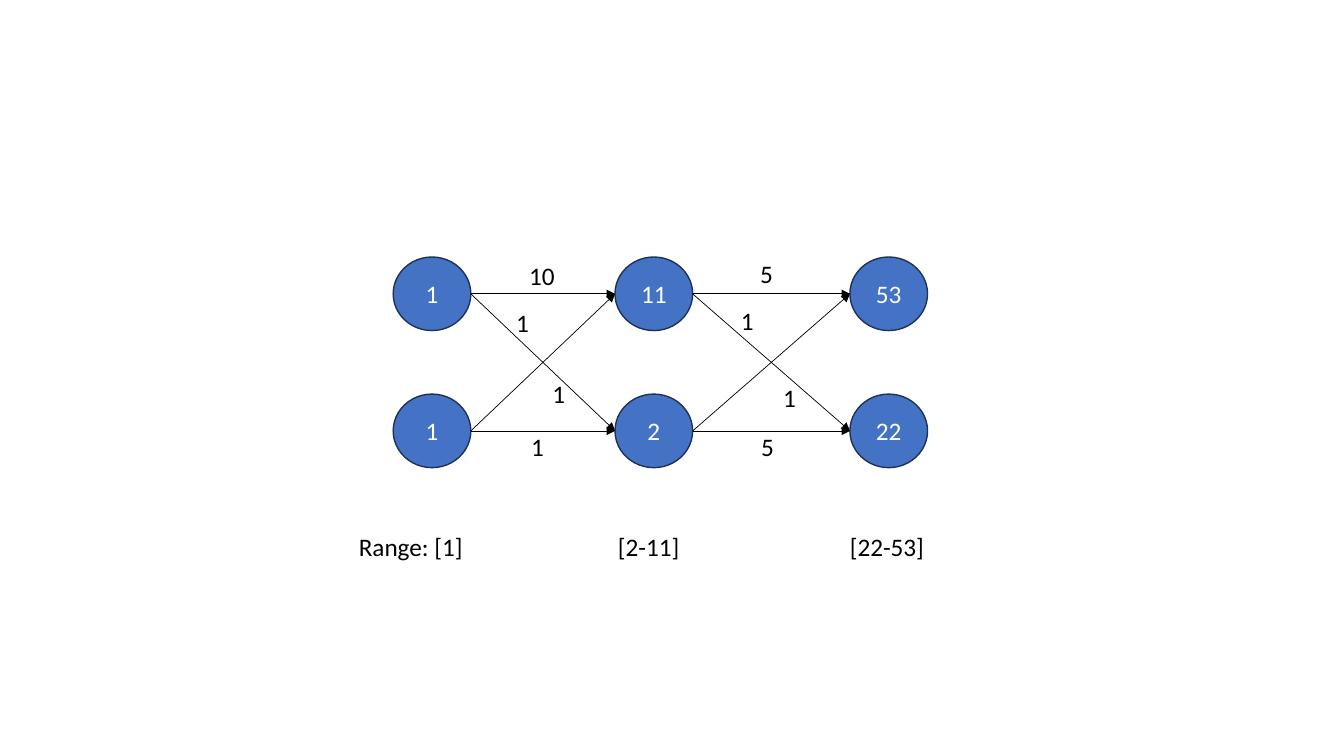
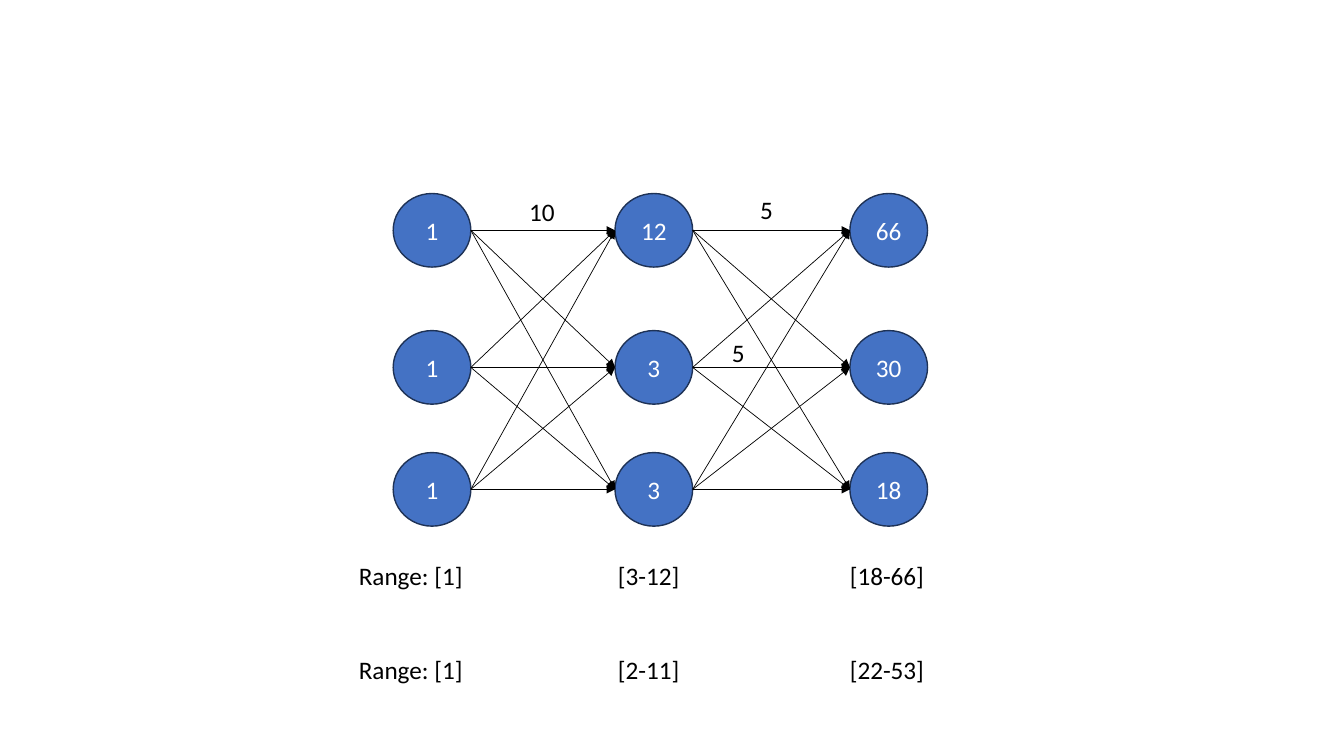
"""Builds two slides of layered node graphs with the value range of each layer."""
from itertools import pairwise, product

from lxml.etree import SubElement
from pptx import Presentation
from pptx.dml.color import RGBColor
from pptx.enum.shapes import MSO_CONNECTOR, MSO_SHAPE
from pptx.enum.text import MSO_ANCHOR, MSO_AUTO_SIZE, PP_ALIGN
from pptx.oxml.ns import qn
from pptx.util import Inches, Pt

COLORS = {"node": "4472C4", "outline": "1E3256", "ink": "000000", "node_text": "FFFFFF"}
FONT, TEXT_SIZE = "Calibri", 18
LAYER_LEFTS = (3.9, 6.1, 8.43)
NODE_WIDTH, NODE_HEIGHT = 0.77, 0.73
LABEL_WIDTH, LABEL_HEIGHT = 0.47, 0.4
RANGE_LEFT, RANGE_WIDTH = 3.46, 6.81
RANGE_TABS = (2.57, 4.87)

GRAPHS = [
    {
        "row_tops": (2.55, 3.91),
        "layers": [("1", "1"), ("11", "2"), ("53", "22")],
        "weights": [
            ("10", 5.15, 2.53), ("1", 5.02, 3), ("1", 5.38, 3.7), ("1", 5.17, 4.23),
            ("1", 7.25, 2.98), ("1", 7.67, 3.74), ("5", 7.44, 2.51), ("5", 7.45, 4.23),
        ],
        "ranges": [(5.22, ("Range: [1]", "[2-11]", "[22-53]"))],
    },
    {
        "row_tops": (1.92, 3.28, 4.49),
        "layers": [("1", "1", "1"), ("12", "3", "3"), ("66", "30", "18")],
        "weights": [("10", 5.15, 1.9), ("5", 7.44, 1.88), ("5", 7.16, 3.3)],
        "ranges": [
            (5.51, ("Range: [1]", "[3-12]", "[18-66]")),
            (6.44, ("Range: [1]", "[2-11]", "[22-53]")),
        ],
    },
]


def color(name):
    return RGBColor.from_string(COLORS[name])


def style_text(paragraph, color_name):
    paragraph.font.name = FONT
    paragraph.font.size = Pt(TEXT_SIZE)
    paragraph.font.color.rgb = color(color_name)


def add_node(slide, value, left, top):
    node = slide.shapes.add_shape(
        MSO_SHAPE.OVAL, Inches(left), Inches(top), Inches(NODE_WIDTH), Inches(NODE_HEIGHT))
    node.shadow.inherit = False
    node.fill.solid()
    node.fill.fore_color.rgb = color("node")
    node.line.color.rgb = color("outline")
    node.line.width = Pt(1)
    node.text_frame.text = value
    node.text_frame.vertical_anchor = MSO_ANCHOR.MIDDLE
    paragraph = node.text_frame.paragraphs[0]
    paragraph.alignment = PP_ALIGN.CENTER
    style_text(paragraph, "node_text")


def add_edge(slide, start, end):
    edge = slide.shapes.add_connector(
        MSO_CONNECTOR.STRAIGHT, *(Inches(length) for length in (*start, *end)))
    edge.line.color.rgb = color("ink")
    edge.line.width = Pt(0.5)
    SubElement(edge.line._get_or_add_ln(), qn("a:tailEnd"), type="triangle")
    SubElement(edge._element.spPr, qn("a:effectLst"))


def add_label(slide, text, left, top, width=LABEL_WIDTH, tabs=()):
    label = slide.shapes.add_textbox(
        Inches(left), Inches(top), Inches(width), Inches(LABEL_HEIGHT))
    frame = label.text_frame
    frame.word_wrap = True
    frame.auto_size = MSO_AUTO_SIZE.SHAPE_TO_FIT_TEXT
    frame.text = text
    paragraph = frame.paragraphs[0]
    if tabs:
        tab_list = SubElement(paragraph._p.get_or_add_pPr(), qn("a:tabLst"))
        for position in tabs:
            SubElement(tab_list, qn("a:tab"), pos=str(Inches(position)), algn="l")
    style_text(paragraph, "ink")


def add_graph(slide, graph):
    row_tops = graph["row_tops"]
    for left, values in zip(LAYER_LEFTS, graph["layers"]):
        for top, value in zip(row_tops, values):
            add_node(slide, value, left, top)
    row_centers = [top + NODE_HEIGHT / 2 for top in row_tops]
    for source, target in pairwise(LAYER_LEFTS):
        for start_y, end_y in product(row_centers, repeat=2):
            add_edge(slide, (source + NODE_WIDTH, start_y), (target, end_y))
    for weight, left, top in graph["weights"]:
        add_label(slide, weight, left, top)
    for top, ranges in graph["ranges"]:
        add_label(slide, "\t".join(ranges), RANGE_LEFT, top, RANGE_WIDTH, RANGE_TABS)


def main():
    deck = Presentation()
    deck.slide_width, deck.slide_height = Inches(13.33), Inches(7.5)
    blank_layout = deck.slide_layouts[6]
    for graph in GRAPHS:
        add_graph(deck.slides.add_slide(blank_layout), graph)
    deck.save("out.pptx")


if __name__ == "__main__":
    main()
